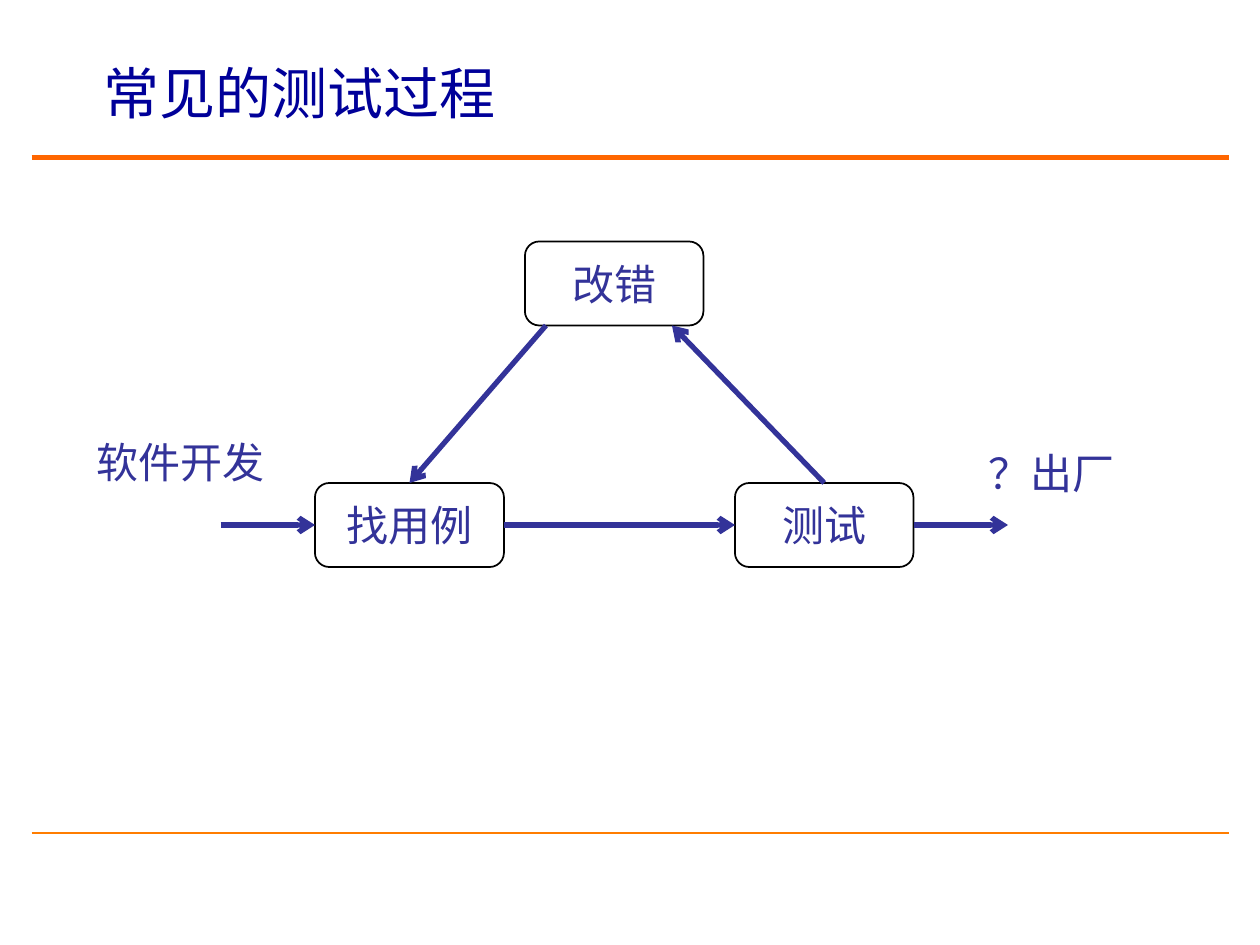
from pptx import Presentation
from pptx.dml.color import RGBColor
from pptx.enum.shapes import MSO_CONNECTOR as Connector, MSO_SHAPE as Shape
from pptx.enum.text import MSO_ANCHOR as Anchor, MSO_AUTO_SIZE as AutoSize, PP_ALIGN as Align
from pptx.oxml.ns import qn
from pptx.util import Inches, Pt
from lxml.etree import SubElement

COLORS = {"title": "000099", "flow": "333399", "outline": "000000",
          "header": "FF6600", "footer": "FF7D00"}
UNIT = Inches(1) // 12  # the diagram sits on a grid of twelve cells to the inch


def write(shape, text, size, font, color, align=Align.LEFT):
    frame = shape.text_frame
    frame.text = text
    para = frame.paragraphs[0]
    para.alignment = align
    para.font.size = Pt(size)
    para.font.name = font
    para.font.color.rgb = RGBColor.from_string(COLORS[color])
    return frame


def draw_line(start, end, color, width):
    line = slide.shapes.add_connector(
        Connector.STRAIGHT, *[int(value * UNIT) for value in (*start, *end)])
    line.line.color.rgb = RGBColor.from_string(COLORS[color])
    line.line.width = Pt(width)
    SubElement(line._element.spPr, qn("a:effectLst"))
    return line


deck = Presentation()
deck.slide_width, deck.slide_height = Inches(10), Inches(7.5)
slide = deck.slides.add_slide(deck.slide_layouts[5])

# Rules across the page
draw_line((3, 79.32), (117, 79.32), "footer", 1)
draw_line((3, 15), (117, 15), "header", 3)

# Title
title = slide.shapes.title
title.left, title.top = Inches(0.72), Inches(0.25)
title.width, title.height = Inches(8.83), Inches(0.92)
frame = write(title, "常见的测试过程", 32, "Arial", "title")
frame.vertical_anchor = Anchor.MIDDLE
frame.paragraphs[0].line_spacing = Pt(42)

# Steps: text, column, row, columns wide
boxes = {}
for text, column, row, columns in [("改错", 50, 23, 17), ("找用例", 30, 46, 18),
                                   ("测试", 70, 46, 17)]:
    box = slide.shapes.add_shape(Shape.ROUNDED_RECTANGLE, column * UNIT, row * UNIT,
                                 columns * UNIT, 8 * UNIT)
    box.adjustments[0] = 0.17
    box.shadow.inherit = False
    box.fill.background()
    box.line.color.rgb = RGBColor.from_string(COLORS["outline"])
    box.line.width = Pt(1)
    frame = write(box, text, 24, "Times New Roman", "flow", Align.CENTER)
    frame.vertical_anchor = Anchor.MIDDLE
    frame.word_wrap = False
    boxes[text] = box

# Arrows: start, end, joined start (step, side), joined end (step, side)
for start, end, source, target in [
        ((52, 31), (39, 46), None, ("找用例", 0)),
        ((48, 50), (70, 50), ("找用例", 3), ("测试", 1)),
        ((79, 46), (64, 31), ("测试", 0), None),
        ((21, 50), (30, 50), None, ("找用例", 1)),
        ((87, 50), (96, 50), ("测试", 3), None)]:
    arrow = draw_line(start, end, "flow", 3)
    SubElement(arrow.line._get_or_add_ln(), qn("a:tailEnd"), type="arrow")
    if source:
        arrow.begin_connect(boxes[source[0]], source[1])
    if target:
        arrow.end_connect(boxes[target[0]], target[1])

# Labels for the way in and the way out
for text, column, row, width in [("软件开发", 8, 41, 1.53), ("？出厂", 93, 42, 1.2)]:
    label = slide.shapes.add_textbox(column * UNIT, row * UNIT, Inches(width), 6 * UNIT)
    frame = write(label, text, 24, "Times New Roman", "flow")
    frame.word_wrap = False
    frame.auto_size = AutoSize.SHAPE_TO_FIT_TEXT

deck.save("out.pptx")
